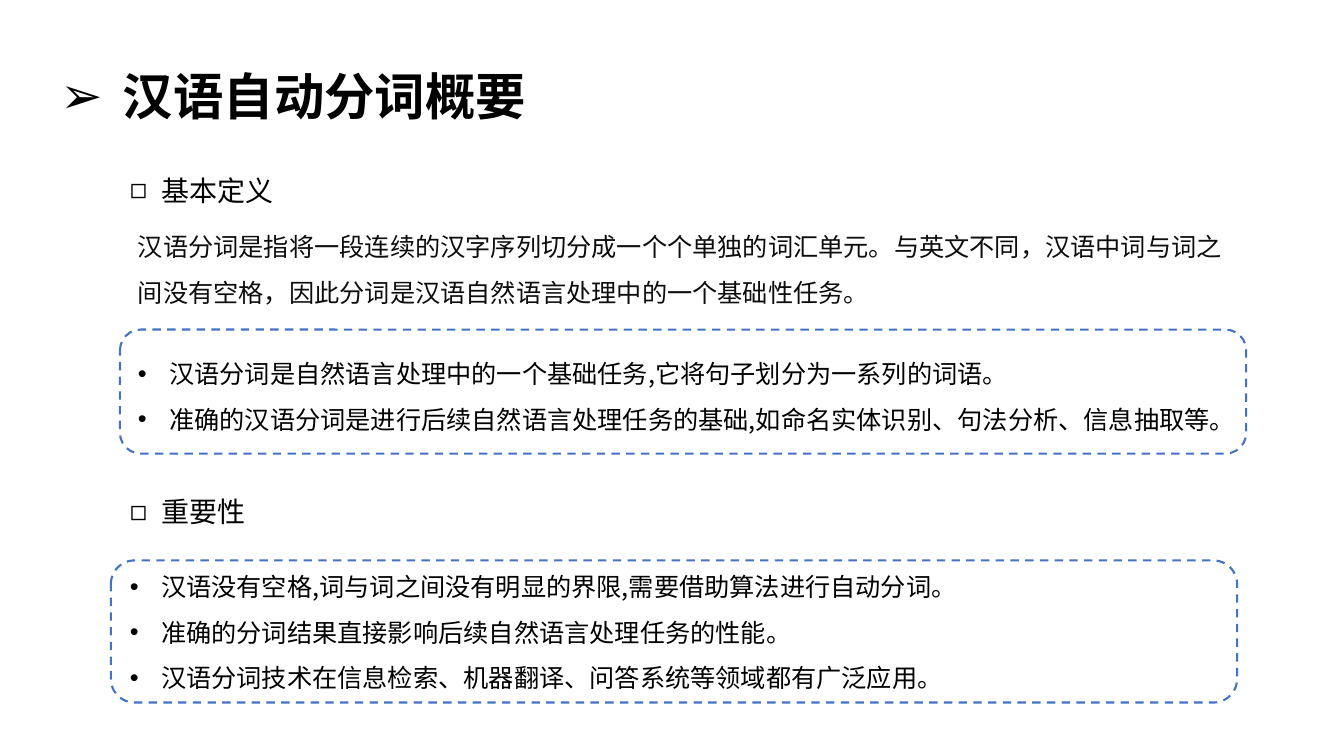
from lxml import etree
from pptx import Presentation
from pptx.dml.color import RGBColor
from pptx.enum.dml import MSO_LINE
from pptx.enum.shapes import MSO_SHAPE
from pptx.enum.text import MSO_ANCHOR
from pptx.oxml.ns import qn
from pptx.util import Inches, Pt

FONT = "Noto Sans CJK SC"
COLORS = {"text": "000000", "body": "0D0D0D", "frame": "4472C4"}
ROUNDED = MSO_SHAPE.ROUNDED_RECTANGLE
DASH = MSO_LINE.DASH
TOP, MIDDLE = MSO_ANCHOR.TOP, MSO_ANCHOR.MIDDLE

DEFINITION = (
    "汉语分词是指将一段连续的汉字序列切分成一个个单独的词汇单元。"
    "与英文不同，汉语中词与词之间没有空格，"
    "因此分词是汉语自然语言处理中的一个基础性任务。"
)
DEFINITION_POINTS = [
    "汉语分词是自然语言处理中的一个基础任务,它将句子划分为一系列的词语。",
    "准确的汉语分词是进行后续自然语言处理任务的基础,如命名实体识别、句法分析、信息抽取等。",
]
IMPORTANCE_POINTS = [
    "汉语没有空格,词与词之间没有明显的界限,需要借助算法进行自动分词。",
    "准确的分词结果直接影响后续自然语言处理任务的性能。",
    "汉语分词技术在信息检索、机器翻译、问答系统等领域都有广泛应用。",
]


def set_bullet(para, symbol, indent):
    properties = para._p.get_or_add_pPr()
    properties.set("marL", str(Inches(indent)))
    properties.set("indent", str(-Inches(indent)))
    etree.SubElement(properties, qn("a:buFont")).set("typeface", "Arial")
    etree.SubElement(properties, qn("a:buChar")).set("char", symbol)


def add_text(page, box, lines, size, spacing=1.0, bullet=None, indent=0.31,
             color="text", bold=False, anchor=TOP):
    frame = page.shapes.add_textbox(*map(Inches, box)).text_frame
    frame.word_wrap = True
    frame.vertical_anchor = anchor
    for number, line in enumerate(lines):
        para = frame.add_paragraph() if number else frame.paragraphs[0]
        para.line_spacing = spacing
        if bullet:
            set_bullet(para, bullet, indent)
        span = para.add_run()
        span.text = line
        span.font.size = Pt(size)
        span.font.bold = bold
        span.font.color.rgb = RGBColor.from_string(COLORS[color])
        span.font.name = FONT
        east_asian = etree.SubElement(span._r.get_or_add_rPr(), qn("a:ea"))
        east_asian.set("typeface", FONT)


def add_title(page, box, title):
    add_text(page, box, [title], 36, spacing=0.9, bullet="➢", indent=0.62,
             bold=True, anchor=MIDDLE)


def add_heading(page, left, top, heading):
    add_text(page, (left, top, 2.12, 0.44), [heading], 20, bullet="◻")


def add_framed_points(page, box, points, text_offset, text_size):
    left, top, _, _ = box
    across, down = text_offset
    add_text(page, (left + across, top + down, *text_size), points, 18,
             spacing=1.5, bullet="•")
    border = page.shapes.add_shape(ROUNDED, *map(Inches, box))
    border.shadow.inherit = False
    border.fill.background()
    border.line.color.rgb = RGBColor.from_string(COLORS["frame"])
    border.line.width = Pt(1.5)
    border.line.dash_style = DASH


def add_definition(page, left, top):
    add_heading(page, left, top, "基本定义")
    add_text(page, (left + 0.08, top + 0.43, 11, 0.96), [DEFINITION], 18,
             spacing=1.5, color="body")
    add_framed_points(page, (left, top + 1.6, 11.17, 1.23),
                      DEFINITION_POINTS, (0.08, 0.09), (11.17, 0.96))


def add_importance(page, left, top):
    add_heading(page, left, top, "重要性")
    add_framed_points(page, (left - 0.09, top + 0.7, 11.17, 1.41),
                      IMPORTANCE_POINTS, (0.09, -0.09), (9.44, 1.41))


def main():
    deck = Presentation()
    deck.slide_width, deck.slide_height = Inches(13.33), Inches(7.5)
    page = deck.slides.add_slide(deck.slide_layouts[6])
    # Title
    add_title(page, (0.5, 0.48, 11.47, 1.01), "汉语自动分词概要")
    # Two sections, one below the other
    add_definition(page, 1.19, 1.67)
    add_importance(page, 1.19, 4.86)
    deck.save("out.pptx")


if __name__ == "__main__":
    main()
